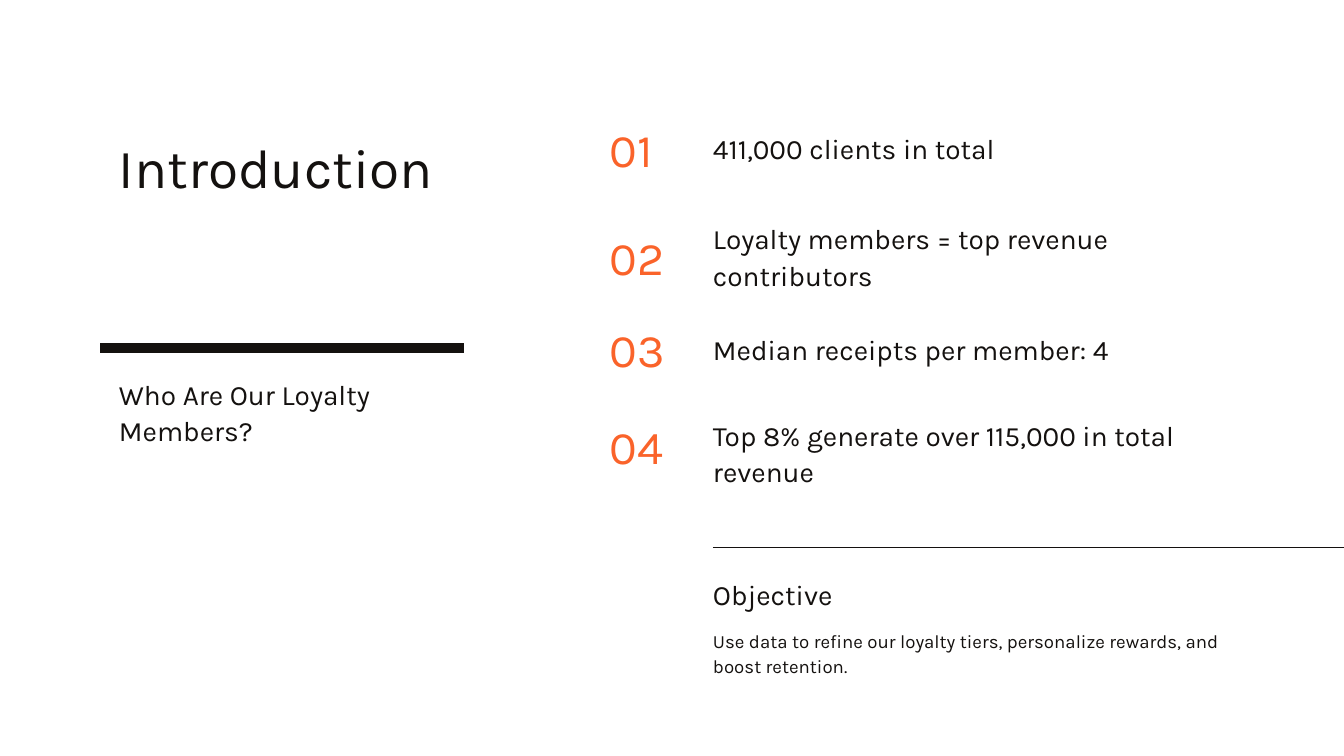
"""Build the introduction slide on loyalty members."""
from pptx import Presentation
from pptx.dml.color import RGBColor as Rgb
from pptx.enum.shapes import MSO_CONNECTOR as Conn
from pptx.enum.text import MSO_ANCHOR as Anchor, MSO_AUTO_SIZE as Auto, PP_ALIGN as Align
from pptx.oxml.ns import qn
from pptx.util import Inches, Pt
from lxml.etree import SubElement

TITLE = "Introduction"
ASK = "Who Are Our Loyalty Members?"
FACTS = [
    ("411,000 clients in total", 1.8, 1.92, 0.55),
    ("Loyalty members = top revenue contributors", 3.41, 3.26, 1.09),
    ("Median receipts per member: 4", 4.78, 4.91, 0.55),
    ("Top 8% generate over 115,000 in total revenue", 6.22, 6.18, 1.09),
]
GOAL = "Objective"
PLAN = "Use data to refine our loyalty tiers, personalize rewards, and boost retention."

THEME = {
    "font": "Karla",
    "ink": Rgb.from_string("14110F"),
    "pop": Rgb.from_string("FA632A"),
    "title": (59, 70.8),
    "num": (50, 60),
    "body": (30, 39),
    "note": (20, 26),
}
WIDE, HIGH = 20, 11.25
LEFT, LEFT_W = 1.77, 4.91
NUM, NUM_W = 9.07, 0.93
MAIN, MAIN_W = 10.61, 7.93


def put(slide, text, box, size="body", color="ink", shape=None):
    """Write text in a new box or in the given shape."""
    area = [Inches(n) for n in box]
    shape = shape or slide.shapes.add_textbox(*area)
    shape.left, shape.top, shape.width, shape.height = area
    frame = shape.text_frame
    frame.word_wrap = True
    frame.auto_size = Auto.NONE
    frame.vertical_anchor = Anchor.TOP
    frame.margin_left = frame.margin_right = 0
    frame.margin_top = frame.margin_bottom = 0
    para = frame.paragraphs[0]
    para.alignment = Align.LEFT
    run = para.add_run()
    run.text = text
    points, lead = THEME[size]
    para.line_spacing = Pt(lead)
    run.font.name = THEME["font"]
    run.font.size = Pt(points)
    run.font.color.rgb = THEME[color]


def rule(slide, start, end, top, weight):
    """Draw a level line."""
    line = slide.shapes.add_connector(
        Conn.STRAIGHT, Inches(start), Inches(top), Inches(end), Inches(top))
    line.line.color.rgb = THEME["ink"]
    line.line.width = Pt(weight)
    SubElement(line._element.spPr, qn("a:effectLst"))


def main():
    """Lay out the slide and save it."""
    deck = Presentation()
    deck.slide_width, deck.slide_height = Inches(WIDE), Inches(HIGH)
    slide = deck.slides.add_slide(deck.slide_layouts[5])

    put(slide, TITLE, (LEFT, 1.98, LEFT_W, 2.94), size="title", shape=slide.shapes.title)
    rule(slide, 1.49, 6.91, 5.18, 11)
    put(slide, ASK, (LEFT, 5.57, LEFT_W, 1.08))

    for i, (fact, num_top, top, high) in enumerate(FACTS, 1):
        put(slide, f"{i:02}", (NUM, num_top, NUM_W, 0.84), size="num", color="pop")
        put(slide, fact, (MAIN, top, MAIN_W, high))

    rule(slide, MAIN, WIDE, 8.14, 0.75)
    put(slide, GOAL, (MAIN, 8.56, MAIN_W, 0.54))
    put(slide, PLAN, (MAIN, 9.35, MAIN_W, 1.07), size="note")
    deck.save("out.pptx")


if __name__ == "__main__":
    main()
